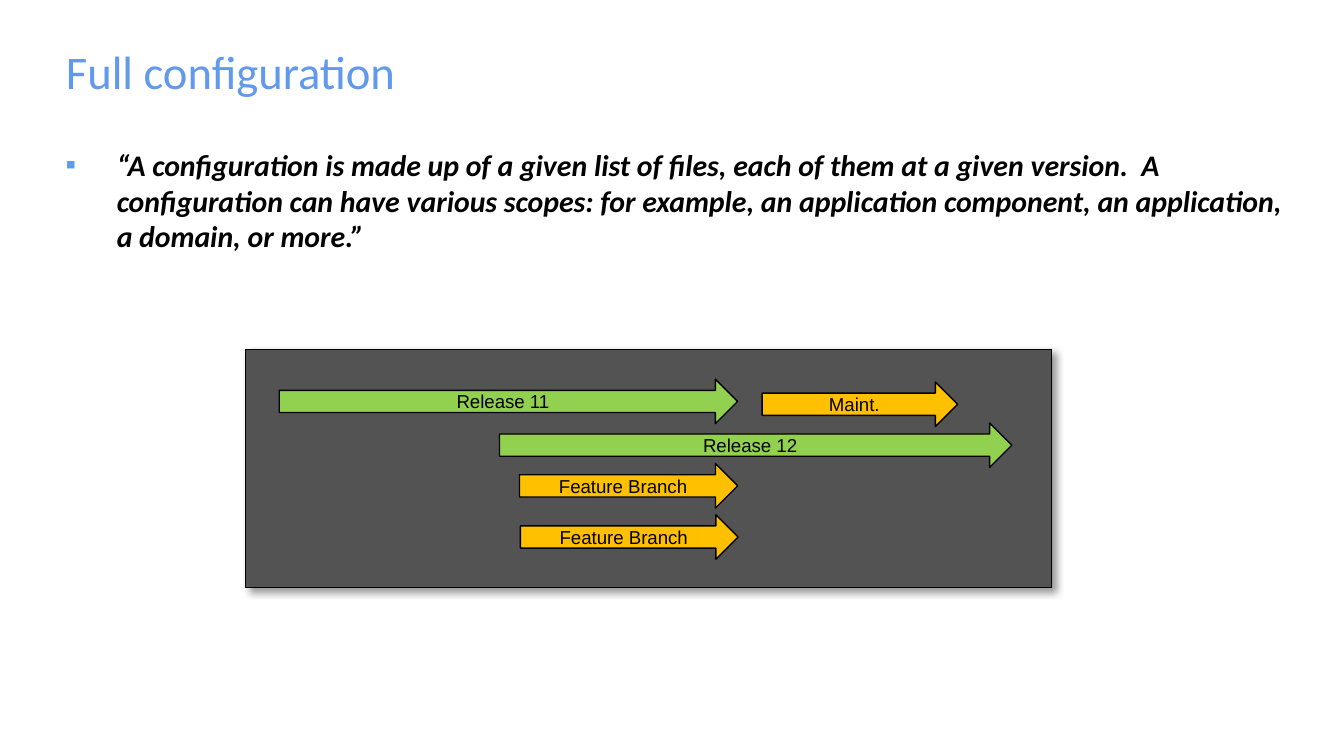
from lxml.etree import SubElement
from pptx import Presentation
from pptx.dml.color import RGBColor
from pptx.enum.shapes import MSO_SHAPE
from pptx.enum.text import MSO_ANCHOR, PP_ALIGN
from pptx.oxml import parse_xml
from pptx.oxml.ns import nsdecls, qn
from pptx.util import Pt

BLUE = RGBColor(0x61, 0x9A, 0xEC)
BLACK = RGBColor(0, 0, 0)
GREY = RGBColor(0x53, 0x53, 0x53)
GREEN = RGBColor(0x92, 0xD0, 0x50)
AMBER = RGBColor(0xFF, 0xC0, 0x00)

MARGIN, CONTENT_WIDTH = 28.1, 673.9
ARROW_HEIGHT = 23.8
QUOTE = (
    "“A configuration is made up of a given list of files, each of them at a "
    "given version.  A configuration can have various scopes: for example, an "
    "application component, an application, a domain, or more.”"
)
# Label, left, top, width, colour
BRANCHES = [
    ("Release 11", 149.6, 203.2, 245.5, GREEN),
    ("Release 12", 267.6, 226.6, 274.5, GREEN),
    ("Maint.", 408.3, 204.7, 104.7, AMBER),
    ("Feature Branch", 278.3, 248.4, 116.9, AMBER),
    ("Feature Branch", 278.8, 275.8, 116.6, AMBER),
]


def style_font(paragraph, name, size, color):
    paragraph.font.name = name
    paragraph.font.size = Pt(size)
    paragraph.font.color.rgb = color


def set_title(slide, text):
    title = slide.shapes.title
    title.left, title.top = Pt(MARGIN), Pt(18.7)
    title.width, title.height = Pt(CONTENT_WIDTH), Pt(38.2)
    frame = title.text_frame
    frame.text = text
    frame.vertical_anchor = MSO_ANCHOR.MIDDLE
    paragraph = frame.paragraphs[0]
    paragraph.alignment = PP_ALIGN.LEFT
    style_font(paragraph, "Calibri", 25, BLUE)


def add_bullet(paragraph, color, indent):
    properties = paragraph._p.get_or_add_pPr()
    properties.set("marL", str(Pt(indent)))
    properties.set("indent", str(-Pt(indent)))
    bullet_color = SubElement(properties, qn("a:buClr"))
    SubElement(bullet_color, qn("a:srgbClr"), val=str(color))
    SubElement(properties, qn("a:buFont"), typeface="Arial")
    SubElement(properties, qn("a:buChar"), char="▪")


def add_quote(slide, text):
    box = slide.shapes.add_textbox(Pt(MARGIN), Pt(74.9), Pt(CONTENT_WIDTH), Pt(267.8))
    frame = box.text_frame
    frame.word_wrap = True
    frame.text = text
    paragraph = frame.paragraphs[0]
    add_bullet(paragraph, BLUE, 27.4)
    style_font(paragraph, "Calibri", 16, BLACK)
    paragraph.font.bold = True
    paragraph.font.italic = True


def add_block(shapes, kind, left, top, width, height, fill):
    shape = shapes.add_shape(kind, Pt(left), Pt(top), Pt(width), Pt(height))
    shape.shadow.inherit = False
    shape.fill.solid()
    shape.fill.fore_color.rgb = fill
    shape.line.color.rgb = BLACK
    shape.line.width = Pt(0.75)
    return shape


def add_panel(shapes):
    panel = add_block(shapes, MSO_SHAPE.RECTANGLE, 131.5, 187.1, 432, 127.8, GREY)
    effects = panel._element.spPr.find(qn("a:effectLst"))
    effects.append(parse_xml(
        f'<a:outerShdw {nsdecls("a")} blurRad="{Pt(4)}" dist="{Pt(3)}" '
        'dir="2700000" algn="tl" rotWithShape="0">'
        '<a:srgbClr val="000000"><a:alpha val="40000"/></a:srgbClr></a:outerShdw>'
    ))


def add_branch(shapes, label, left, top, width, color):
    arrow = add_block(shapes, MSO_SHAPE.RIGHT_ARROW, left, top, width, ARROW_HEIGHT, color)
    frame = arrow.text_frame
    frame.margin_left = frame.margin_right = 0
    frame.margin_top = frame.margin_bottom = 0
    frame.vertical_anchor = MSO_ANCHOR.MIDDLE
    frame.text = label
    paragraph = frame.paragraphs[0]
    paragraph.alignment = PP_ALIGN.CENTER
    style_font(paragraph, "Arial", 10, BLACK)


def main():
    presentation = Presentation()
    presentation.slide_width, presentation.slide_height = Pt(720), Pt(405)
    slide = presentation.slides.add_slide(presentation.slide_layouts[5])

    # Heading and definition
    set_title(slide, "Full configuration")
    add_quote(slide, QUOTE)

    # Branch timeline
    timeline = slide.shapes.add_group_shape()
    add_panel(timeline.shapes)
    for branch in BRANCHES:
        add_branch(timeline.shapes, *branch)

    presentation.save("out.pptx")


if __name__ == "__main__":
    main()
